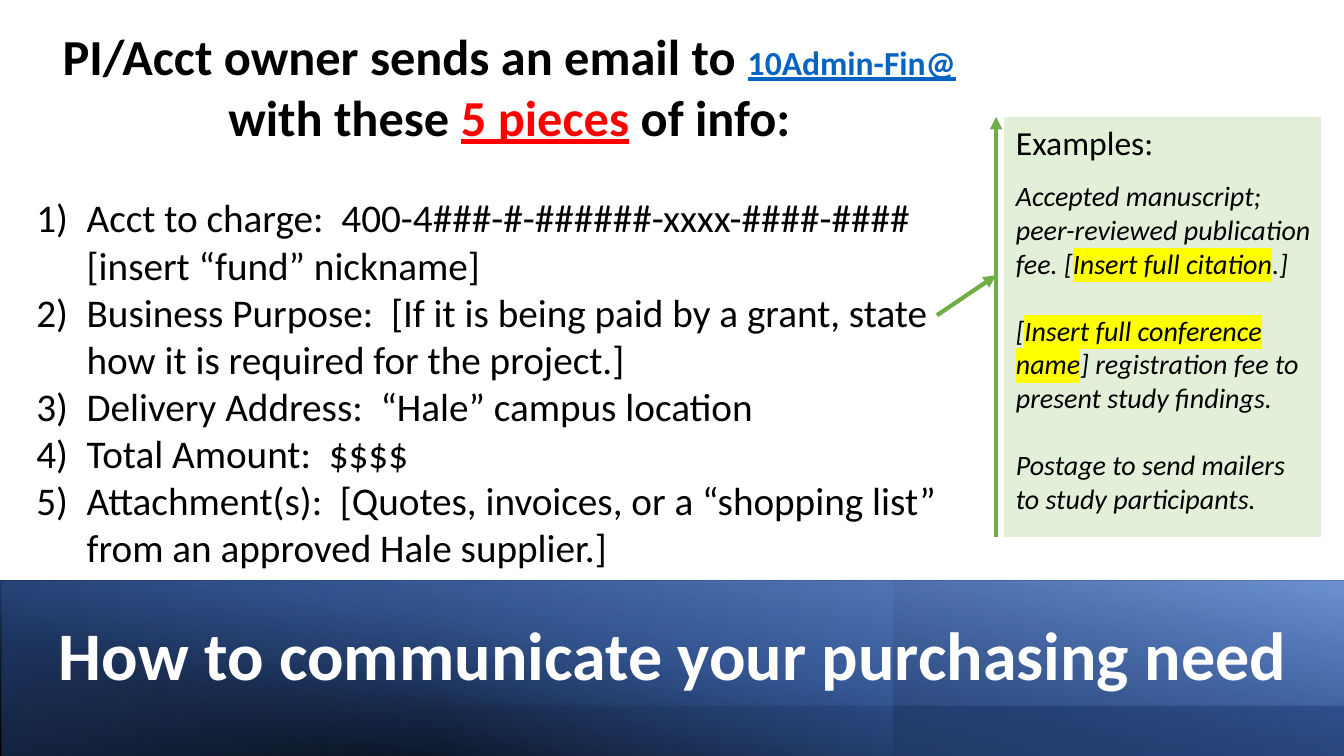
from lxml import etree
from pptx import Presentation
from pptx import util as u
from pptx.dml.color import RGBColor
from pptx.enum import shapes, text
from pptx.oxml import ns

COLORS = {
    "black": "000000", "white": "FFFFFF", "navy": "203864", "deep": "2F5597",
    "blue": "4472C4", "sky": "8FAADC", "link": "0563C1", "red": "FF0000",
    "mint": "E2F0D9", "green": "70AD47", "yellow": "FFFF00",
}
FONT = "Calibri"

# Content: runs are (text, format) pairs
TITLE = "How to communicate your purchasing need"
HEADING = [
    [("PI/Acct owner sends an email to ", {}),
     ("10Admin-Fin@", {"size": 24, "color": "link", "underline": True}),
     (" ", {})],
    [("with these ", {}),
     ("5 pieces", {"color": "red", "underline": True}),
     (" of info: ", {})],
]
STEPS = [
    "Acct to charge:  400-4###-#-######-xxxx-####-#### [insert “fund” nickname]",
    "Business Purpose:  [If it is being paid by a grant, state how it is required for the project.]",
    "Delivery Address:  “Hale” campus location",
    "Total Amount:  $$$$",
    "Attachment(s):  [Quotes, invoices, or a “shopping list” from an approved Hale supplier.]",
]
MARKED = {"highlight": "yellow"}
EXAMPLES = [
    [("Accepted manuscript; peer-reviewed publication fee. [", {}),
     ("Insert full citation", MARKED), (".]", {})],
    [("[", {}), ("Insert full conference name", MARKED),
     ("] registration fee to present study findings.", {})],
    [("Postage to send mailers to study participants.", {})],
]

# Places on a grid of 40 columns by 30 rows: left, top, width, height
COLUMNS, ROWS = 40, 30
TITLE_AT = (0.78, 24, 38.49, 4.28)
STEPS_AT = (0.78, 0.8, 29.1, 22.2)
CALLOUT_AT = (29.88, 4.64, 9.45, 16.68)
EXAMPLES_AT = (29.94, 4.64, 9.39, 16.16)
CALLOUT_SHAPE = (0.377, -0.025, 0.472, -0.211)

# Banner layers: place, angle, turn, mirrored, stops (position, color, opacity)
BANNER = [
    ((0, 23.04, 40, 6.96), 260, 0, True, [(0, "black", 100), (54, "navy", 100)]),
    ((-0.05, 23.04, 40.05, 6.96), 250, 0, True, [(18, "deep", 0), (100, "blue", 100)]),
    ((26.58, 23.04, 13.44, 6.96), 260, 0, True, [(23, "navy", 61), (100, "navy", 0)]),
    ((-0.03, 23.04, 40.02, 4.96), 280, 0, False, [(18, "blue", 0), (100, "sky", 56)]),
    ((0.06, 23.08, 25.38, 6.96), 0, 180, False, [(50, "blue", 0), (100, "deep", 41)]),
]

deck = Presentation()
deck.slide_width, deck.slide_height = u.Inches(13.33), u.Inches(7.5)
page = deck.slides.add_slide(deck.slide_layouts[1])
tree = page.shapes


def rgb(name):
    return RGBColor.from_string(COLORS[name])


def place(at):
    cell = (deck.slide_width / COLUMNS, deck.slide_height / ROWS) * 2
    return [round(share * unit) for share, unit in zip(at, cell)]


def move(box, at):
    box.left, box.top, box.width, box.height = place(at)
    tree._spTree.append(box._element)


def child(parent, tag, **attributes):
    node = etree.SubElement(parent, ns.qn(tag))
    for key, value in attributes.items():
        node.set(key, str(value))
    return node


def add_span(para, words, size=28, color="black", bold=False, italic=False,
             underline=False, highlight=None):
    span = para.add_run()
    span.text = words
    font = span.font
    font.name, font.size = FONT, u.Pt(size)
    font.bold, font.italic, font.underline = bold, italic, underline
    font.color.rgb = rgb(color)
    if highlight:
        props = font._element
        mark = child(props, "a:highlight")
        child(mark, "a:srgbClr", val=COLORS[highlight])
        props.find(ns.qn("a:solidFill")).addnext(mark)


def add_para(frame, runs, align=text.PP_ALIGN.LEFT, before=0, after=0,
             spacing=1.0, numbered=False, **style):
    para = frame.paragraphs[0]
    if para.runs:
        para = frame.add_paragraph()
    para.alignment, para.line_spacing = align, spacing
    para.space_before, para.space_after = u.Pt(before), u.Pt(after)
    props = para._p.get_or_add_pPr()
    indent = u.Inches(0.5) if numbered else 0
    props.set("marL", str(indent))
    props.set("indent", str(-indent))
    if numbered:
        child(props, "a:buFont", typeface="+mj-lt")
        child(props, "a:buAutoNum", type="arabicParenR")
    else:
        child(props, "a:buNone")
    for words, changes in runs:
        add_span(para, words, **{**style, **changes})


def fill_gradient(layer, stops, angle):
    props = layer._element.spPr
    fill = etree.Element(ns.qn("a:gradFill"), rotWithShape="1")
    listing = child(fill, "a:gsLst")
    for position, name, opacity in stops:
        stop = child(listing, "a:gs", pos=position * 1000)
        tint = child(stop, "a:srgbClr", val=COLORS[name])
        child(tint, "a:alpha", val=opacity * 1000)
    child(fill, "a:lin", ang=angle * 60000, scaled=0)
    props.find(ns.qn("a:prstGeom")).addnext(fill)


# Banner
for at, angle, turn, mirrored, stops in BANNER:
    layer = tree.add_shape(shapes.MSO_SHAPE.RECTANGLE, *place(at))
    layer.shadow.inherit = False
    layer.line.fill.background()
    layer.rotation = turn
    if mirrored:
        layer._element.spPr.find(ns.qn("a:xfrm")).set("flipH", "1")
    fill_gradient(layer, stops, angle)

# Title
title = tree.title
move(title, TITLE_AT)
title.text_frame.vertical_anchor = text.MSO_ANCHOR.MIDDLE
title.text_frame.auto_size = text.MSO_AUTO_SIZE.NONE
add_para(title.text_frame, [(TITLE, {})], align=text.PP_ALIGN.CENTER,
         spacing=0.9, size=48.6, color="white", bold=True)

# Heading and numbered steps
steps = page.placeholders[1]
move(steps, STEPS_AT)
steps.text_frame.vertical_anchor = text.MSO_ANCHOR.TOP
steps.text_frame.auto_size = text.MSO_AUTO_SIZE.SHAPE_TO_FIT_TEXT
for runs in HEADING:
    add_para(steps.text_frame, runs, align=text.PP_ALIGN.CENTER, size=36, bold=True)
for number, step in enumerate(STEPS):
    add_para(steps.text_frame, [(step, {})], numbered=True,
             before=0 if number else 34)

# Callout panel
callout = tree.add_shape(shapes.MSO_SHAPE.LINE_CALLOUT_1_ACCENT_BAR, *place(CALLOUT_AT))
callout.shadow.inherit = False
for index, share in enumerate(CALLOUT_SHAPE):
    callout.adjustments[index] = share
callout.fill.solid()
callout.fill.fore_color.rgb = rgb("mint")
callout.line.color.rgb = rgb("green")
callout.line.width = u.Pt(3)
child(callout._element.spPr.find(ns.qn("a:ln")), "a:headEnd", type="triangle")

# Examples
examples = tree.add_textbox(*place(EXAMPLES_AT)).text_frame
examples.word_wrap = True
examples.auto_size = text.MSO_AUTO_SIZE.SHAPE_TO_FIT_TEXT
add_para(examples, [("Examples:", {})], size=24)
for runs in EXAMPLES:
    add_para(examples, runs, before=12, after=12, size=20, italic=True)

deck.save("out.pptx")
